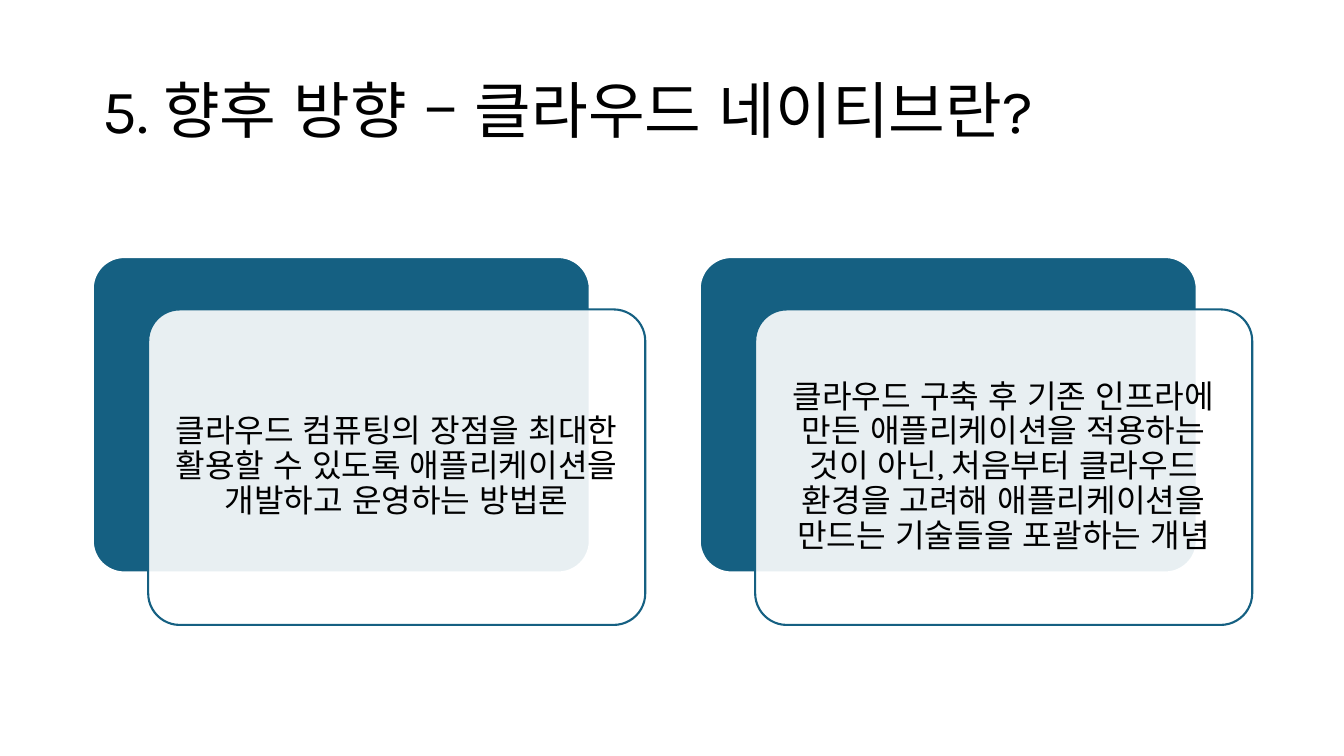
from dataclasses import dataclass

from lxml.etree import SubElement
from pptx import Presentation
from pptx.dml.color import RGBColor
from pptx.enum.lang import MSO_LANGUAGE_ID as Lang
from pptx.enum.shapes import MSO_SHAPE as Shape
from pptx.enum.text import MSO_ANCHOR as Anchor, PP_ALIGN as Align
from pptx.oxml.ns import qn
from pptx.util import Inches, Pt


@dataclass(frozen=True)
class Theme:
    font: str = "Karla"
    text: RGBColor = RGBColor(0x00, 0x00, 0x00)
    accent: RGBColor = RGBColor(0x15, 0x60, 0x82)
    paper: RGBColor = RGBColor(0xFF, 0xFF, 0xFF)
    title_size: int = 44
    body_size: int = 23
    border: float = 1.5


def apply(target, values):
    for attribute, value in values.items():
        setattr(target, attribute, value)


class SlideBuilder:
    def __init__(self, slide, theme):
        self.slide = slide
        self.theme = theme

    def text(self, wording, box, size, inset, paragraph_format):
        frame = self.slide.shapes.add_textbox(*map(Inches, box)).text_frame
        apply(frame, {
            "word_wrap": True,
            "vertical_anchor": Anchor.MIDDLE,
            "margin_left": Inches(inset[0]),
            "margin_right": Inches(inset[0]),
            "margin_top": Inches(inset[1]),
            "margin_bottom": Inches(inset[1]),
        })
        paragraph = frame.paragraphs[0]
        apply(paragraph, {"line_spacing": 0.9, **paragraph_format})
        run = paragraph.add_run()
        run.text = wording
        apply(run.font, {
            "name": self.theme.font,
            "size": Pt(size),
            "language_id": Lang.KOREAN,
        })
        run.font.color.rgb = self.theme.text

    def panel(self, box, fill, line, opacity=100):
        panel = self.slide.shapes.add_shape(Shape.ROUNDED_RECTANGLE, *map(Inches, box))
        panel.adjustments[0] = 0.1
        panel.shadow.inherit = False
        panel.fill.solid()
        panel.fill.fore_color.rgb = fill
        panel.line.color.rgb = line
        panel.line.width = Pt(self.theme.border)
        if opacity < 100:
            color = panel.fill._xPr.find(qn("a:solidFill"))[0]
            SubElement(color, qn("a:alpha"), val=str(opacity * 1000))

    def card(self, wording, left, top):
        theme = self.theme
        width, height = 4.93, 3.13
        front_left, front_top, pad = left + 0.55, top + 0.52, 0.09
        self.panel((left, top, width, height), theme.accent, theme.paper)
        self.panel((front_left, front_top, width, height), theme.paper, theme.accent, 90)
        self.text(
            wording,
            (front_left + pad, front_top + pad, width - 2 * pad, height - 2 * pad),
            theme.body_size,
            (0.1, 0.1),
            {"alignment": Align.CENTER, "space_after": Pt(8)},
        )


def main():
    presentation = Presentation()
    apply(presentation, {"slide_width": Inches(13.33), "slide_height": Inches(7.5)})
    theme = Theme()
    builder = SlideBuilder(
        presentation.slides.add_slide(presentation.slide_layouts[6]), theme
    )
    builder.text(
        "5. 향후 방향 – 클라우드 네이티브란?",
        (0.92, 0.4, 11.5, 1.45),
        theme.title_size,
        (0.1, 0.05),
        {"alignment": Align.LEFT},
    )
    definitions = (
        "클라우드 컴퓨팅의 장점을 최대한 활용할 수 있도록 애플리케이션을 개발하고 운영하는 방법론",
        "클라우드 구축 후 기존 인프라에 만든 애플리케이션을 적용하는 것이 아닌, 처음부터 클라우드 환경을 고려해 애플리케이션을 만드는 기술들을 포괄하는 개념",
    )
    for column, definition in enumerate(definitions):
        builder.card(definition, 0.92 + column * 6.02, 2.55)
    presentation.save("out.pptx")


if __name__ == "__main__":
    main()
